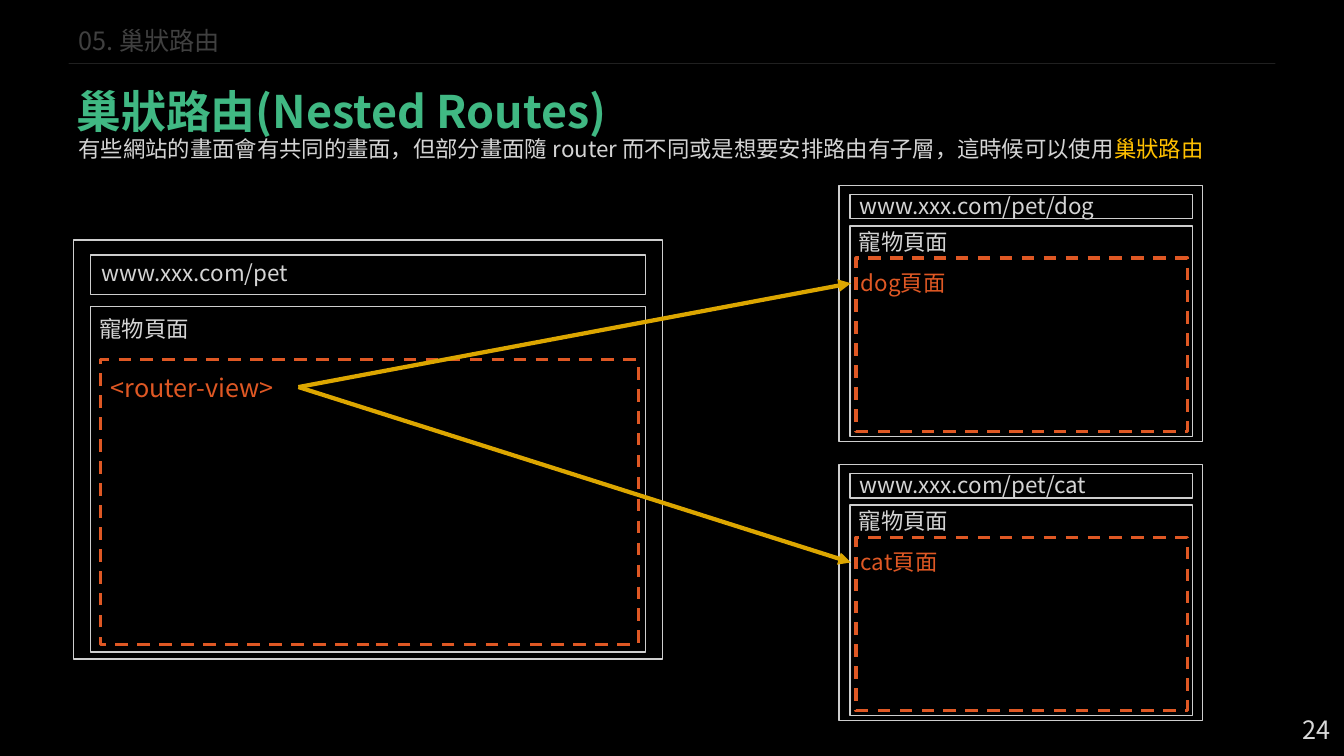
from dataclasses import dataclass
from lxml import etree
from pptx import Presentation
from pptx.dml.color import RGBColor
from pptx.enum import dml, shapes, text
from pptx.oxml import ns
from pptx.util import Inches, Pt


@dataclass(frozen=True)
class Theme:
    back: str = "000000"
    dim: str = "404040"
    body: str = "D4D4D4"
    num: str = "D9D9D9"
    green: str = "40B883"
    gold: str = "FFC000"
    arrow: str = "DCA600"
    frame: str = "CECECE"
    view: str = "DF5824"
    font: str = "Noto Sans CJK TC"
    alt: str = "Noto Sans CJK SC"
    small: int = 16
    mid: int = 18
    big: int = 32


@dataclass(frozen=True)
class Box:
    x: float
    y: float
    w: float
    h: float

    def down(self, gap: float) -> "Box":
        return Box(self.x, self.y + gap, self.w, self.h)


@dataclass(frozen=True)
class Label:
    box: Box
    runs: tuple[tuple[str, str], ...]
    size: int
    font: str
    bold: bool = False
    lead: float | Pt | None = None
    wrap: bool = True


@dataclass(frozen=True)
class Page:
    frame: Box
    bar: Box
    body: Box
    view: Box
    labels: tuple[Label, ...]


T = Theme()
deck = Presentation()
deck.slide_width, deck.slide_height = Inches(13.33), Inches(7.5)
slide = deck.slides.add_slide(deck.slide_layouts[6])
slide.background.fill.solid()
slide.background.fill.fore_color.rgb = RGBColor.from_string(T.back)


def write(label: Label) -> None:
    b = label.box
    shape = slide.shapes.add_textbox(Inches(b.x), Inches(b.y), Inches(b.w), Inches(b.h))
    frame = shape.text_frame
    frame.word_wrap = label.wrap
    frame.auto_size = text.MSO_AUTO_SIZE.SHAPE_TO_FIT_TEXT
    para = frame.paragraphs[0]
    if label.lead:
        para.line_spacing = label.lead
    for words, color in label.runs:
        run = para.add_run()
        run.text = words
        font = run.font
        font.size, font.bold, font.name = Pt(label.size), label.bold, label.font
        font.color.rgb = RGBColor.from_string(color)
        # East Asian glyphs need their own font entry
        east = etree.SubElement(run._r.get_or_add_rPr(), ns.qn("a:ea"))
        east.set("typeface", label.font)


def outline(b: Box, color: str, width: float, dash: bool = False) -> None:
    rect = slide.shapes.add_shape(
        shapes.MSO_SHAPE.RECTANGLE, Inches(b.x), Inches(b.y), Inches(b.w), Inches(b.h))
    rect.shadow.inherit = False
    rect.fill.background()
    rect.line.color.rgb = RGBColor.from_string(color)
    rect.line.width = Pt(width)
    if dash:
        rect.line.dash_style = dml.MSO_LINE.DASH


def join(start: tuple[float, float], end: tuple[float, float], color: str,
         width: float, head: bool = False, alpha: int = 100) -> None:
    line = slide.shapes.add_connector(
        shapes.MSO_CONNECTOR.STRAIGHT, *map(Inches, start + end))
    line.line.color.rgb = RGBColor.from_string(color)
    line.line.width = Pt(width)
    props = line._element.spPr
    etree.SubElement(props, ns.qn("a:effectLst"))
    if alpha < 100:
        tint = props.find(".//" + ns.qn("a:srgbClr"))
        etree.SubElement(tint, ns.qn("a:alpha")).set("val", str(alpha * 1000))
    if head:
        tip = etree.SubElement(props.find(ns.qn("a:ln")), ns.qn("a:tailEnd"))
        tip.set("type", "triangle")


def draw(page: Page) -> None:
    outline(page.frame, T.frame, 1)
    outline(page.view, T.view, 2.25, dash=True)
    for box in (page.bar, page.body):
        outline(box, T.frame, 1)
    for label in page.labels:
        write(label)


def note(box: Box, words: str, color: str = T.body) -> Label:
    return Label(box, ((words, color),), T.small, T.font)


def child(name: str, gap: float) -> Page:
    return Page(
        Box(8.32, 1.84, 3.61, 2.54).down(gap),
        Box(8.43, 1.93, 3.4, 0.24).down(gap),
        Box(8.43, 2.24, 3.4, 2.09).down(gap),
        Box(8.49, 2.56, 3.29, 1.72).down(gap),
        (note(Box(8.43, 1.86, 3.3, 0.37).down(gap), f"www.xxx.com/pet/{name}"),
         note(Box(8.42, 2.21, 3.3, 0.37).down(gap), "寵物頁面"),
         note(Box(8.44, 2.62, 3.3, 0.37).down(gap), f"{name}頁面", T.view)))


# Header and page number
write(Label(Box(12.82, 7.04, 0.51, 0.4), (("24", T.num),), T.mid, T.alt, wrap=False))
write(Label(Box(0.68, 0.22, 2.79, 0.38), (("05. 巢狀路由", T.dim),),
            T.mid, T.font, lead=Pt(20)))
join((0.68, 0.63), (12.65, 0.63), T.dim, 0.5, alpha=50)

# Title and summary
write(Label(Box(0.68, 1.29, 11.49, 0.37), (
    ("有些網站的畫面會有共同的畫面，但部分畫面隨 router 而不同或是想要安排路由有子層，這時候可以使用", T.body),
    ("巢狀路由", T.gold)), T.small, T.font))
write(Label(Box(0.66, 0.51, 10.68, 0.91), (("巢狀路由(Nested Routes)", T.green),),
            T.big, T.font, bold=True, lead=1.5))

# Parent page
draw(Page(
    Box(0.73, 2.38, 5.84, 4.16), Box(0.9, 2.53, 5.5, 0.39),
    Box(0.9, 3.04, 5.5, 3.43), Box(1, 3.57, 5.33, 2.82),
    (Label(Box(1, 3.64, 1.96, 0.4), (("<router-view>", T.view),), T.mid, T.alt),
     note(Box(0.91, 2.52, 5.33, 0.37), "www.xxx.com/pet"),
     note(Box(0.89, 3.08, 5.33, 0.37), "寵物頁面"))))

# Child pages, then an arrow to each
gaps = {"dog": 0, "cat": 2.77}
for name, gap in gaps.items():
    draw(child(name, gap))
for gap in gaps.values():
    join((2.96, 3.84), (8.44, 2.81 + gap), T.arrow, 3, head=True)

deck.save("out.pptx")
